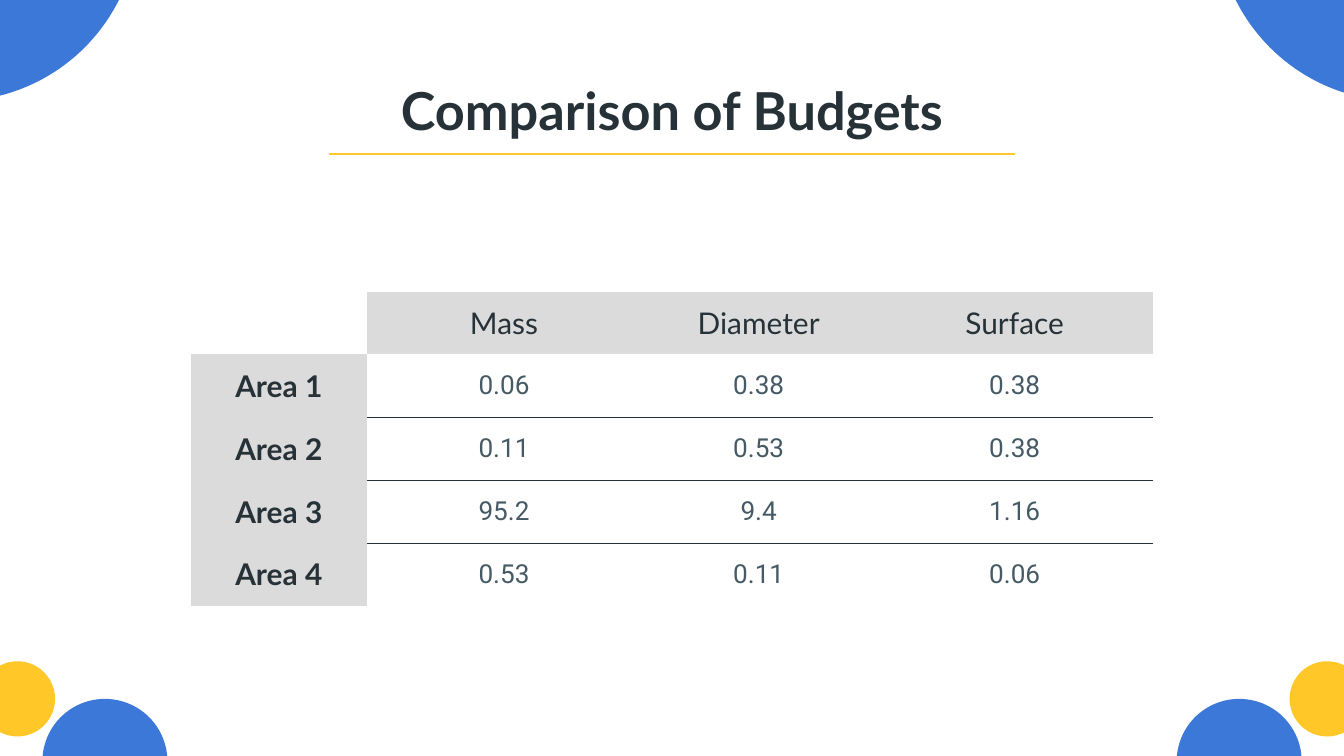
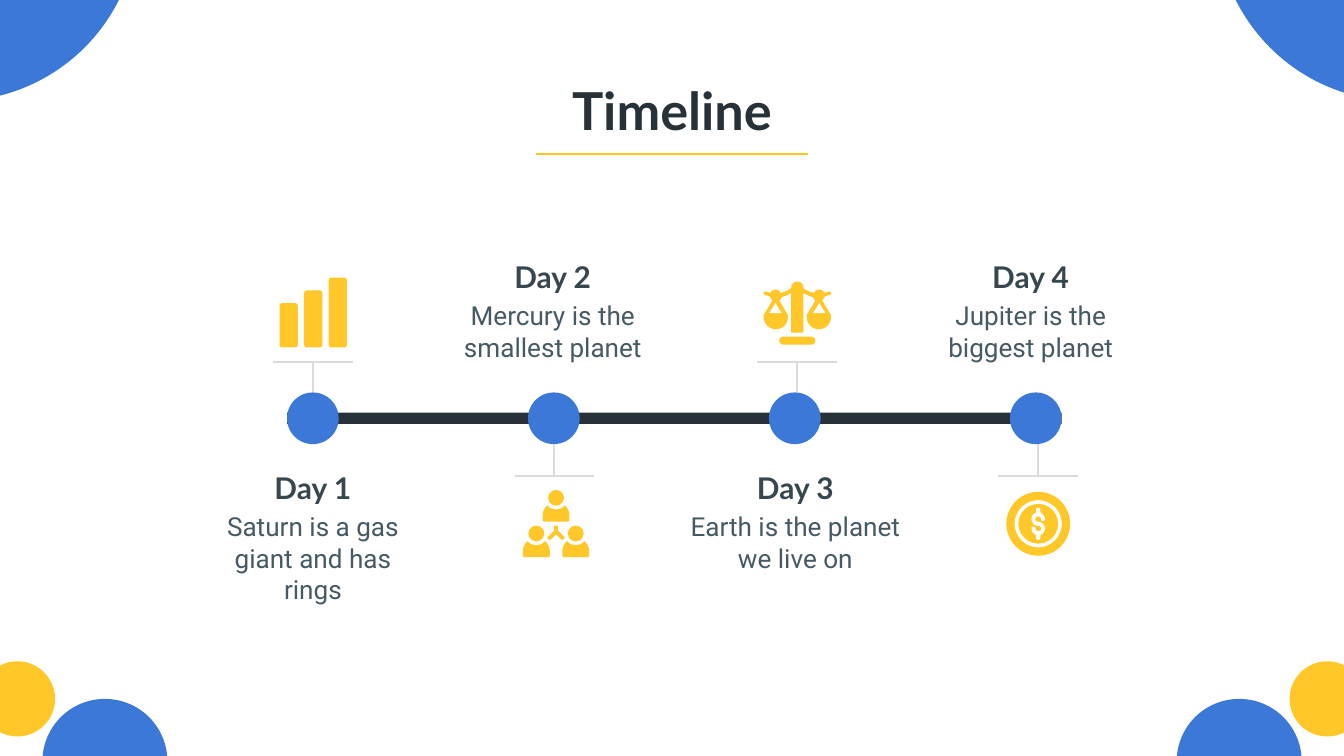
from lxml import etree
from pptx import Presentation
from pptx.dml.color import RGBColor
from pptx.enum.shapes import MSO_CONNECTOR, MSO_SHAPE
from pptx.enum.text import MSO_ANCHOR, PP_ALIGN
from pptx.oxml.ns import qn
from pptx.util import Pt

STRAIGHT = MSO_CONNECTOR.STRAIGHT
OVAL, RECT, ROUNDED = MSO_SHAPE.OVAL, MSO_SHAPE.RECTANGLE, MSO_SHAPE.ROUNDED_RECTANGLE
DONUT, TRIANGLE = MSO_SHAPE.DONUT, MSO_SHAPE.ISOSCELES_TRIANGLE
CENTER = PP_ALIGN.CENTER
TOP, MIDDLE = MSO_ANCHOR.TOP, MSO_ANCHOR.MIDDLE

BLUE = RGBColor(0x3C, 0x78, 0xD8)
YELLOW = RGBColor(0xFF, 0xC7, 0x27)
INK = RGBColor(0x26, 0x32, 0x38)
SLATE = RGBColor(0x37, 0x47, 0x4F)
GREY_TEXT = RGBColor(0x45, 0x5A, 0x64)
SILVER = RGBColor(0xDB, 0xDB, 0xDB)
WHITE = RGBColor(0xFF, 0xFF, 0xFF)

WIDTH, HEIGHT = 1440, 810
INSET = 14.4

TITLE = dict(name="Lato", size=Pt(56), bold=True, color=INK)
COLUMN_HEAD = dict(name="Lato", size=Pt(32), bold=False, color=INK)
ROW_HEAD = dict(COLUMN_HEAD, bold=True)
DAY_HEAD = dict(ROW_HEAD, color=SLATE)
BODY = dict(name="Roboto", size=Pt(28), bold=False, color=GREY_TEXT)

CORNER_CIRCLES = [
    (1303.2, -284.5, 393, BLUE), (1381.7, 708.5, 80.6, YELLOW), (1260.7, 748.8, 134, BLUE),
    (-244.8, -284.5, 393, BLUE), (-21.6, 708.5, 80.6, YELLOW), (45.4, 748.8, 134, BLUE),
]

BUDGET_ROWS = [
    ["", "Mass", "Diameter", "Surface"],
    ["Area 1", "0.06", "0.38", "0.38"],
    ["Area 2", "0.11", "0.53", "0.38"],
    ["Area 3", "95.2", "9.4", "1.16"],
    ["Area 4", "0.53", "0.11", "0.06"],
]

PERSON_BODY = [
    (0, 20.9), (-3.6, 20.9, -7.2, 19.5, -9.4, 16.6), (-12.2, 19.5, -14.4, 23, -14.4, 27.4),
    (-14.4, 31.7), (-14.4, 33.2, -13.7, 33.9, -12.2, 33.9),
]
PEOPLE_LINK = [(-2.2, 38.2), (-2.2, 43.9), (-9.4, 51.1), (-6.5, 54), (0, 47.5)]
SCALES_HALF = [
    (0, 0), (-3.6, 0, -6.5, 2.9, -6.5, 6.5), (-6.5, 7.2), (-8.6, 8.6),
    (-13, 10.8, -14.4, 11.5, -18, 12.2), (-18.7, 10.1, -20.9, 8.6, -23.8, 8.6),
    (-25.9, 8.6, -28.1, 10.1, -28.8, 12.2), (-33.1, 10.8), (-34.6, 10.8, -36, 10.8, -36, 12.2),
    (-36, 13, -36, 14.4, -34.6, 14.4), (-29.5, 15.8), (-28.8, 18, -27.4, 19.4, -26.6, 20.2),
    (-35.3, 34.6), (-36, 36), (-36, 38.2), (-36, 45.4, -30.2, 51.1, -23, 51.1),
    (-15.8, 51.1, -10.1, 45.4, -10.1, 38.2), (-10.1, 36), (-10.8, 34.6), (-19.4, 20.2),
    (-18, 19.4, -17.3, 18, -16.6, 16.6), (-13, 15.8, -10.8, 14.4, -6.5, 12.2), (-6.5, 54.7),
]
DOLLAR_HALF = [
    (0, -17.3), (0.7, -17.3, 2.2, -16.6, 2.2, -15.1), (2.2, -12.2),
    (5, -10.8, 7.2, -7.9, 7.2, -5), (7.2, -3.6, 6.5, -2.9, 5, -2.9),
    (3.6, -2.9, 2.9, -3.6, 2.9, -5), (2.9, -7.2, 1.4, -7.9, 0, -7.9),
    (-0.7, -7.9, -1.4, -7.9, -2.2, -7.2), (-4.3, -5, -2.9, -2.2, 0, -2.2),
    (3.6, -2.2, 6.5, 0.7, 7.2, 4.3), (7.2, 7.9, 5.8, 10.8, 2.2, 12.2), (2.2, 15.8),
    (2.2, 16.6, 0.7, 17.3, 0, 17.3),
]


def paint(sp, color):
    sp.shadow.inherit = False
    sp.fill.solid()
    sp.fill.fore_color.rgb = color
    sp.line.fill.background()
    return sp


def add_preset(slide, kind, x, y, w, h, color, adjust=None):
    sp = paint(slide.shapes.add_shape(kind, Pt(x), Pt(y), Pt(w), Pt(h)), color)
    if adjust is not None:
        sp.adjustments[0] = adjust


def add_line(slide, x1, y1, x2, y2, color):
    line = slide.shapes.add_connector(STRAIGHT, Pt(x1), Pt(y1), Pt(x2), Pt(y2))
    line.line.color.rgb = color
    line.line.width = Pt(2.25)
    etree.SubElement(line._element.spPr, qn("a:effectLst"))


def trace(segments, steps=8):
    points = [segments[0]]
    for seg in segments[1:]:
        if len(seg) == 2:
            points.append(seg)
            continue
        controls = [points[-1], seg[:2], seg[2:4], seg[4:]]
        for i in range(1, steps + 1):
            t = i / steps
            weights = ((1 - t) ** 3, 3 * t * (1 - t) ** 2, 3 * t * t * (1 - t), t ** 3)
            points.append(tuple(sum(w * c[k] for w, c in zip(weights, controls)) for k in (0, 1)))
    return points


def mirrored(segments):
    half = trace(segments)
    return half + [(-x, y) for x, y in reversed(half)]


def turned(segments):
    half = trace(segments)
    return half + [(-x, -y) for x, y in half]


def add_outline(slide, cx, y, points, color):
    spots = [(Pt(cx + dx), Pt(y + dy)) for dx, dy in points]
    builder = slide.shapes.build_freeform(*spots[0], scale=1.0)
    builder.add_line_segments(spots[1:], close=True)
    paint(builder.convert_to_shape(), color)


def write(tf, text, style, anchor=TOP):
    tf.word_wrap = True
    tf.vertical_anchor = anchor
    p = tf.paragraphs[0]
    p.alignment = CENTER
    r = p.add_run()
    r.text = text
    for key, value in style.items():
        if key == "color":
            r.font.color.rgb = value
        else:
            setattr(r.font, key, value)


def set_margins(target):
    for side in ("left", "right", "top", "bottom"):
        setattr(target, f"margin_{side}", Pt(INSET))


def add_text(slide, x, y, w, h, text, style):
    tf = slide.shapes.add_textbox(Pt(x), Pt(y), Pt(w), Pt(h)).text_frame
    set_margins(tf)
    write(tf, text, style)


def add_base(prs, title, rule_width):
    slide = prs.slides.add_slide(prs.slide_layouts[6])
    slide.background.fill.solid()
    slide.background.fill.fore_color.rgb = WHITE
    for x, y, size, color in CORNER_CIRCLES:
        add_preset(slide, OVAL, x, y, size, size, color)
    add_text(slide, 113.4, 69.8, 1213.2, 90, title, TITLE)
    left = (WIDTH - rule_width) / 2
    add_line(slide, left, 164.9, left + rule_width, 164.9, YELLOW)
    return slide


def set_borders(cell, ruled):
    tcPr = cell._tc.get_or_add_tcPr()
    for side in "LRTB":
        ln = etree.SubElement(tcPr, qn(f"a:ln{side}"), w=str(Pt(0.75)))
        if side in ruled:
            fill = etree.SubElement(ln, qn("a:solidFill"))
            etree.SubElement(fill, qn("a:srgbClr"), val=str(INK))
        else:
            etree.SubElement(ln, qn("a:noFill"))


def add_budget_table(slide, x, y, col_widths, row_height):
    rows, cols = len(BUDGET_ROWS), len(col_widths)
    frame = slide.shapes.add_table(
        rows, cols, Pt(x), Pt(y), Pt(sum(col_widths)), Pt(rows * row_height))
    table = frame.table
    table.first_row = table.horz_banding = False
    for column, width in zip(table.columns, col_widths):
        column.width = Pt(width)
    for i, values in enumerate(BUDGET_ROWS):
        table.rows[i].height = Pt(row_height)
        for j, value in enumerate(values):
            cell = table.cell(i, j)
            set_margins(cell)
            ruled = ""
            if i and j:
                ruled = ("T" if i > 1 else "") + ("B" if i < rows - 1 else "")
            set_borders(cell, ruled)
            if value and (i == 0 or j == 0):
                cell.fill.solid()
                cell.fill.fore_color.rgb = SILVER
            else:
                cell.fill.background()
            if value:
                style = COLUMN_HEAD if i == 0 else ROW_HEAD if j == 0 else BODY
                write(cell.text_frame, value, style)
                cell.vertical_anchor = MIDDLE if i else TOP


def add_bars_icon(slide, cx, y):
    for i, height in enumerate((47.5, 61.2, 74.9)):
        add_preset(slide, ROUNDED, cx - 36 + 26.3 * i, y + 74.9 - height, 19.6, height, YELLOW, 0.15)


def add_people_icon(slide, cx, y):
    for dx, dy in ((0, 0), (-21.1, 38.2), (21.1, 38.2)):
        add_preset(slide, OVAL, cx + dx - 8.5, y + dy, 17, 17, YELLOW)
        add_outline(slide, cx + dx, y + dy, mirrored(PERSON_BODY), YELLOW)
    add_outline(slide, cx, y, mirrored(PEOPLE_LINK), YELLOW)


def add_scales_icon(slide, cx, y):
    add_outline(slide, cx, y, mirrored(SCALES_HALF), YELLOW)
    for pan in (-23.5, 23.5):
        add_preset(slide, TRIANGLE, cx + pan - 6.7, y + 23, 13.4, 10.8, WHITE)
    add_preset(slide, ROUNDED, cx - 19.4, y + 59, 38.8, 8.6, YELLOW, 0.5)


def add_coin_icon(slide, cx, y):
    add_preset(slide, DONUT, cx - 34.2, y, 68.4, 68.4, YELLOW, 0.13)
    add_preset(slide, OVAL, cx - 21.3, y + 12.9, 42.6, 42.6, YELLOW)
    add_outline(slide, cx, y + 34.2, turned(DOLLAR_HALF), WHITE)


DAYS = [
    ("Day 1", "Saturn is a gas giant and has rings", 335.2, 335.5, add_bars_icon, 335.5, 297.4),
    ("Day 2", "Mercury is the smallest planet", 592.2, 593.8, add_people_icon, 595.8, 524.9),
    ("Day 3", "Earth is the planet we live on", 852.1, 853.9, add_scales_icon, 854.3, 301.7),
    ("Day 4", "Jupiter is the biggest planet", 1104.2, 1112.2, add_coin_icon, 1112.4, 527),
]


def add_day_text(slide, cx, y, day, note):
    add_text(slide, cx - 135, y, 270, 65.5, day, DAY_HEAD)
    add_text(slide, cx - 131, y + 43.9, 262, 100.8, note, BODY)


def add_stand(slide, cx, node_y, shelf_y):
    add_line(slide, cx - 42.5, shelf_y, cx + 42.5, shelf_y, SILVER)
    add_line(slide, cx, node_y, cx, shelf_y, SILVER)


def add_timeline(slide, x, cy, pitch, node):
    add_preset(slide, RECT, x - node / 2, cy - 6.1, pitch * 3 + node, 12.2, INK)
    for i, (day, note, text_x, stand_x, add_icon, icon_x, icon_y) in enumerate(DAYS):
        icon_above = i % 2 == 0
        add_preset(slide, OVAL, x + pitch * i - node / 2, cy - node / 2, node, node, BLUE)
        add_day_text(slide, text_x, cy + 40.7 if icon_above else cy - 185.4, day, note)
        if icon_above:
            add_stand(slide, stand_x, cy - node / 2, cy - 60.8)
        else:
            add_stand(slide, stand_x, cy + node / 2, cy + 61.6)
        add_icon(slide, icon_x, icon_y)


def main():
    prs = Presentation()
    prs.slide_width, prs.slide_height = Pt(WIDTH), Pt(HEIGHT)
    budgets = add_base(prs, "Comparison of Budgets", 734.4)
    add_budget_table(budgets, 204.5, 312.5, (188.6, 293.8, 252, 296.6), 67.3)
    timeline = add_base(prs, "Timeline", 290.9)
    add_timeline(timeline, 335.2, 448.2, 258.2, 55.4)
    prs.save("out.pptx")


if __name__ == "__main__":
    main()
